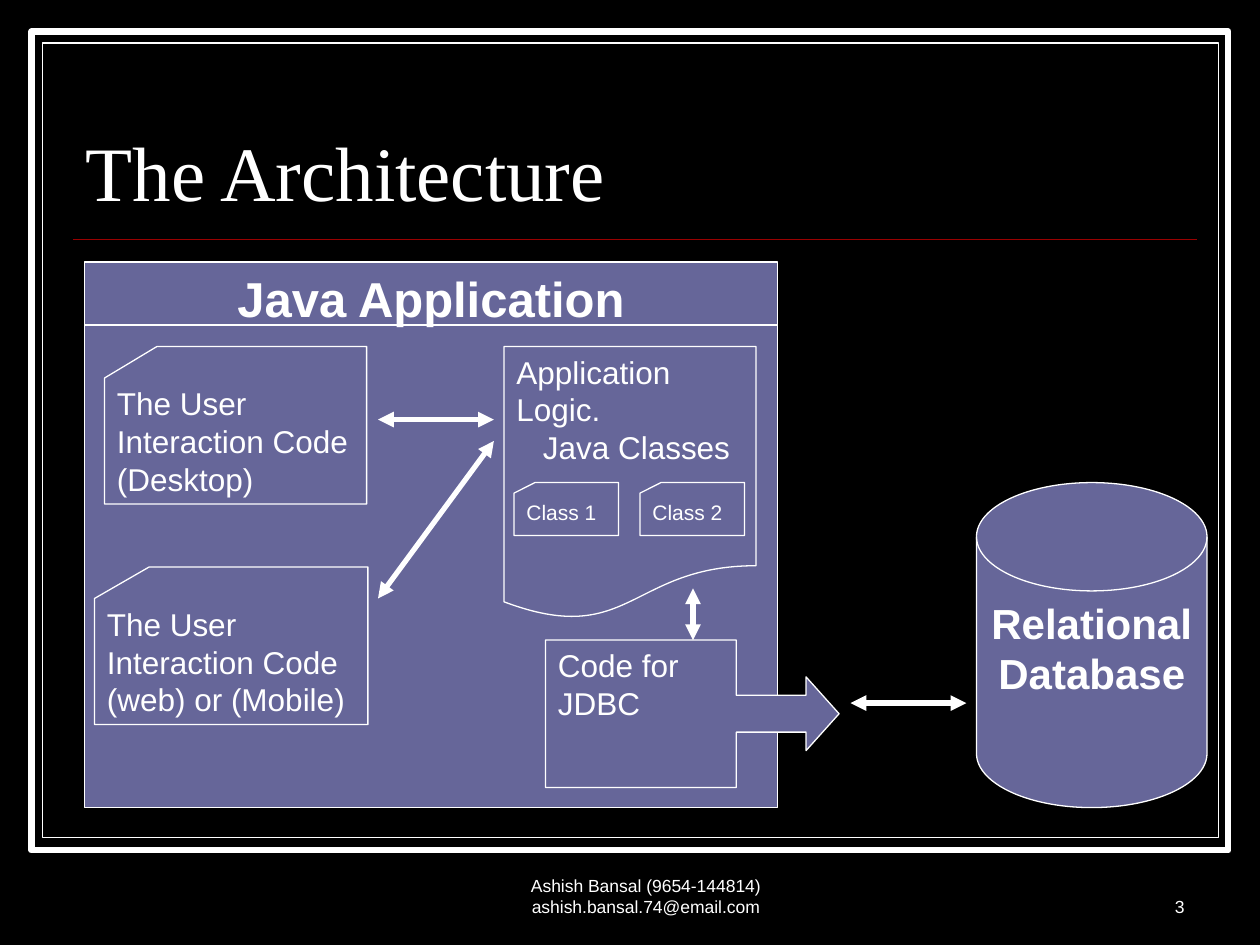
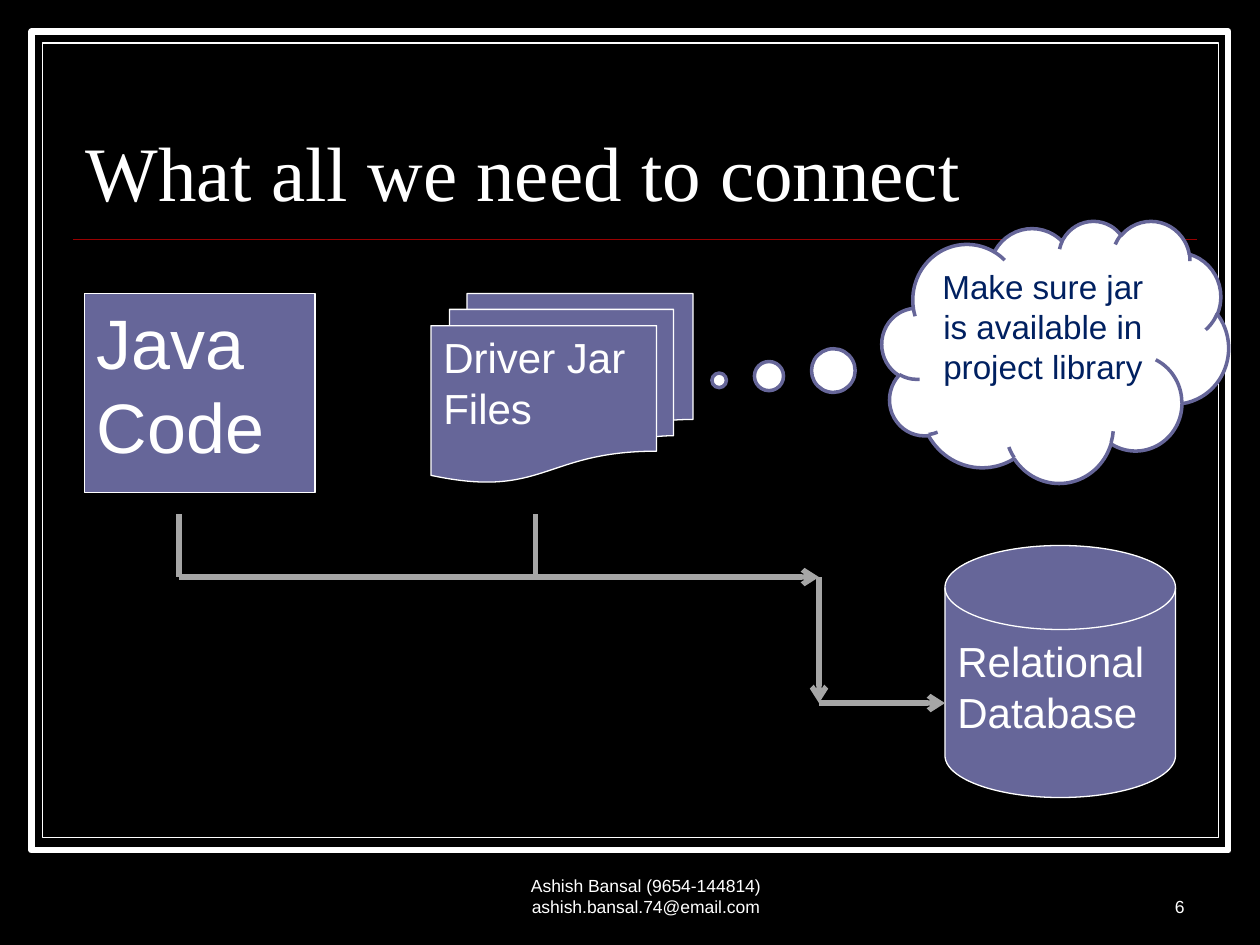
from pptx import Presentation
from pptx.dml.color import RGBColor
from pptx.enum import shapes as kinds, text as txt
from pptx.oxml import ns, xmlchemy as xml
from pptx.util import Inches, Pt

BLACK = RGBColor(0x00, 0x00, 0x00)
WHITE = RGBColor(0xFF, 0xFF, 0xFF)
RED = RGBColor(0x99, 0x00, 0x00)
SLATE = RGBColor(0x66, 0x66, 0x99)
GREY = RGBColor(0xA6, 0xA6, 0xA6)
NAVY = RGBColor(0x00, 0x20, 0x60)
BODY, HEAD = "Arial", "Times New Roman"
SHAPE = kinds.MSO_SHAPE
ALIGN = txt.PP_ALIGN
ANCHOR = txt.MSO_ANCHOR


def inches(*values):
    return [Inches(v) for v in values]


def write(frame, paras, size, color=WHITE, font=BODY, bold=False,
          align=ALIGN.LEFT, anchor=ANCHOR.TOP):
    """Fill a text frame; a newline within a paragraph is a line break."""
    frame.word_wrap = True
    frame.vertical_anchor = anchor
    for i, words in enumerate(paras):
        para = frame.add_paragraph() if i else frame.paragraphs[0]
        para.alignment = align
        for j, piece in enumerate(words.split("\n")):
            if j:
                para.add_line_break()
            run = para.add_run()
            run.text = piece
            run.font.size = Pt(size)
            run.font.name = font
            run.font.bold = bold
            run.font.color.rgb = color


def shape(slide, kind, box, paras=(), size=18, fill=SLATE, edge=WHITE,
          width=0.75, adjust=(), **style):
    item = slide.shapes.add_shape(kind, *inches(*box))
    item.shadow.inherit = False
    item.fill.solid()
    item.fill.fore_color.rgb = fill
    item.line.color.rgb = edge
    item.line.width = Pt(width)
    for i, value in enumerate(adjust):
        item.adjustments[i] = value
    write(item.text_frame, paras, size, **style)
    return item


def line(slide, start, end, color=WHITE, width=3.0, head=None, tail=None):
    item = slide.shapes.add_connector(
        kinds.MSO_CONNECTOR.STRAIGHT, *inches(*start, *end))
    item.line.color.rgb = color
    item.line.width = Pt(width)
    props = item._element.spPr
    stroke = props.find(ns.qn("a:ln"))
    for tag, tip in (("a:headEnd", head), ("a:tailEnd", tail)):
        if tip:
            mark = xml.OxmlElement(tag)
            mark.set("type", tip)
            stroke.append(mark)
    props.append(xml.OxmlElement("a:effectLst"))


def link(slide, start, end):
    line(slide, start, end, head="triangle", tail="triangle")


def note(slide, box, words, align):
    area = slide.shapes.add_textbox(*inches(*box))
    write(area.text_frame, [words], 10, align=align, anchor=ANCHOR.BOTTOM)


def page(deck, name, number):
    """Add a slide with the shared frame, title, rule and footer."""
    slide = deck.slides.add_slide(deck.slide_layouts[5])
    slide.background.fill.solid()
    slide.background.fill.fore_color.rgb = BLACK
    shape(slide, SHAPE.RECTANGLE, (0.25, 0.25, 9.5, 6.5), fill=BLACK, width=3.5)
    shape(slide, SHAPE.RECTANGLE, (0.34, 0.34, 9.33, 6.31), fill=BLACK)
    line(slide, (0.58, 1.9), (9.5, 1.9), RED, 1)

    title = slide.shapes.title
    slide.shapes._spTree.append(title._element)  # bring above the frame
    title.left, title.top, title.width, title.height = inches(
        0.58, 0.52, 8.92, 1.25)
    write(title.text_frame, [name], 44, font=HEAD, anchor=ANCHOR.BOTTOM)
    title.text_frame.auto_size = txt.MSO_AUTO_SIZE.NONE
    title.text_frame.paragraphs[0].line_spacing = 0.8

    note(slide, (3.54, 6.83, 3.17, 0.5),
         "Ashish Bansal (9654-144814) ashish.bansal.74@email.com", ALIGN.CENTER)
    note(slide, (7.42, 6.83, 2.08, 0.5), str(number), ALIGN.RIGHT)
    return slide


def disk(slide, box, words, **style):
    shape(slide, SHAPE.FLOWCHART_MAGNETIC_DISK, box, [words], 24, **style)


def card(slide, box, words, size=18):
    shape(slide, SHAPE.FLOWCHART_CARD, box, [words], size)


def logic(slide, x, y):
    """Document of application logic holding two class cards."""
    doc = shape(slide, SHAPE.FLOWCHART_DOCUMENT, (x, y, 2, 2.17),
                ["Application Logic.", "Java Classes"])
    inset = doc.text_frame.paragraphs[1]._p.get_or_add_pPr()
    inset.set("marL", str(Inches(0.21)))
    for i in range(2):
        card(slide, (x + 0.08 + i, y + 1.08, 0.83, 0.42), f"Class {i + 1}", 12)


def app(slide, x, y, w, h):
    """Application panel with its parts and the links between them."""
    shape(slide, SHAPE.RECTANGLE, (x, y, w, h), ["Java Application"], 28,
          bold=True, align=ALIGN.CENTER)
    line(slide, (x, y + 0.5), (x + w, y + 0.5), width=0.75)
    card(slide, (x + 0.16, y + 0.67, 2.08, 1.25),
         "The User \nInteraction Code\n(Desktop)")
    card(slide, (x + 0.08, y + 2.42, 2.17, 1.25),
         "The User \nInteraction Code\n(web) or (Mobile)")
    logic(slide, x + 3.33, y + 0.67)
    shape(slide, SHAPE.RIGHT_ARROW_CALLOUT, (x + 3.66, y + 3, 2.33, 1.17),
          ["Code for \nJDBC"], adjust=(0.25, 0.25, 0.224, 0.65))
    left, right = x + 2.33, x + 3.25
    link(slide, (left, y + 1.25), (right, y + 1.25))
    link(slide, (left, y + 2.67), (right, y + 1.42))
    link(slide, (x + 4.83, y + 3), (x + 4.83, y + 2.59))


def route(slide, x, y):
    """Path from the code and the driver files to the database."""
    bend, low = x + 5.08, y + 1.5
    for stem in (x, x + 2.83):
        line(slide, (stem, y), (stem, y + 0.5), GREY)
    turns = [(x, y + 0.5), (bend, y + 0.5), (bend, low), (bend + 1, low)]
    for start, end in zip(turns, turns[1:]):
        line(slide, start, end, GREY, tail="arrow")


def design(deck):
    slide = page(deck, "The Architecture", 3)
    app(slide, 0.67, 2.08, 5.5, 4.33)
    disk(slide, (7.75, 3.83, 1.83, 2.58), "Relational\nDatabase",
         bold=True, align=ALIGN.CENTER)
    link(slide, (6.75, 5.58), (7.67, 5.58))


def needs(deck):
    slide = page(deck, "What all we need to connect", 6)
    shape(slide, SHAPE.RECTANGLE, (0.67, 2.33, 1.83, 1.58), ["Java Code"], 40)
    disk(slide, (7.5, 4.33, 1.83, 2), "Relational Database")
    shape(slide, SHAPE.FLOWCHART_MULTIDOCUMENT, (3.42, 2.33, 2.08, 1.5),
          ["Driver Jar Files"], 24)
    route(slide, 1.42, 4.08)
    shape(slide, SHAPE.CLOUD_CALLOUT, (7, 1.75, 2.75, 2.08),
          ["Make sure jar is available in project library"], 19,
          fill=WHITE, edge=SLATE, width=2, adjust=(-0.97, 0.11),
          color=NAVY, align=ALIGN.CENTER)


def main():
    deck = Presentation()
    deck.slide_width, deck.slide_height = inches(10, 7.5)
    design(deck)
    needs(deck)
    deck.save("out.pptx")


if __name__ == "__main__":
    main()
